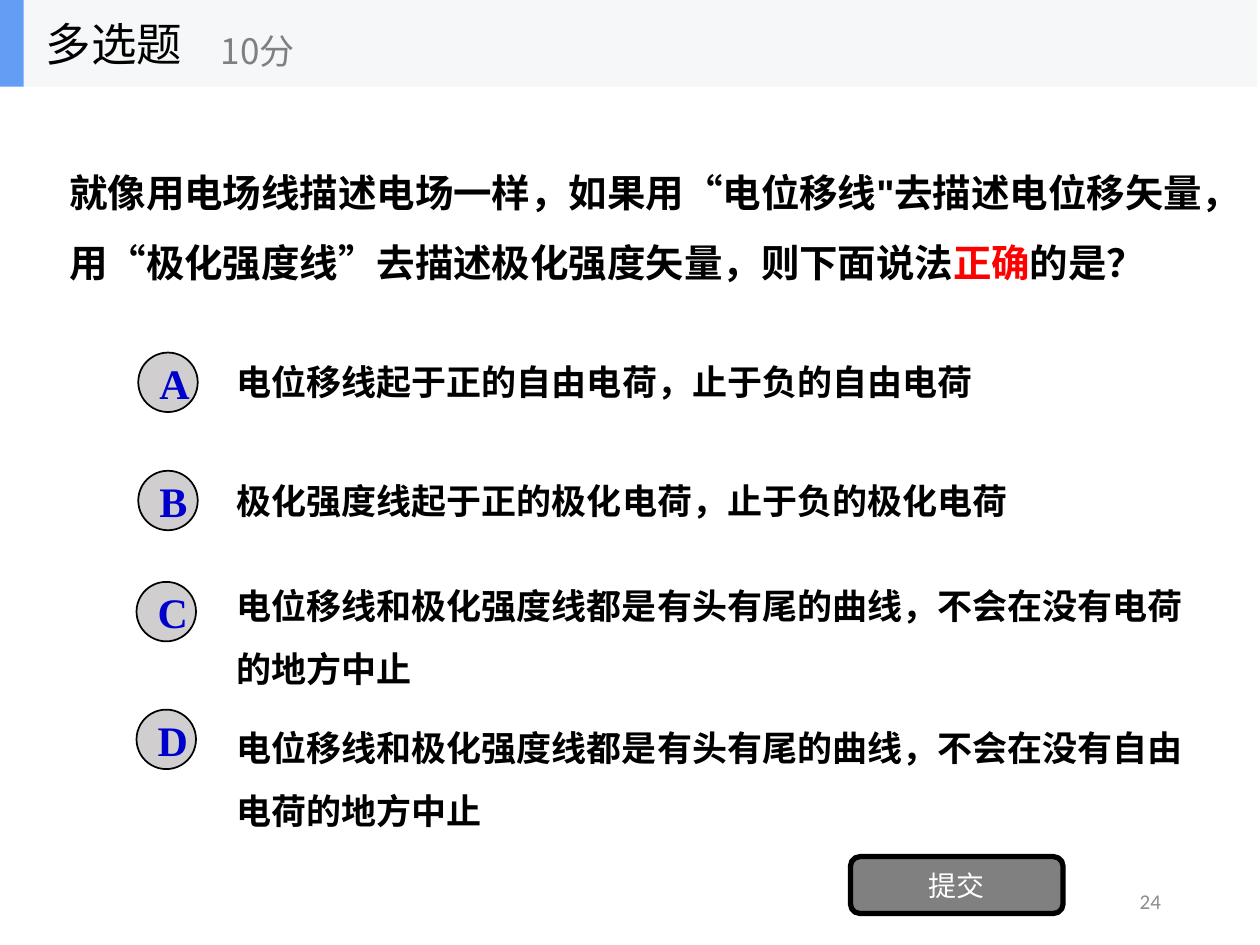
import pptx
import pptx.util
import pptx.dml.color
import pptx.enum.shapes
import pptx.enum.text
import pptx.oxml.ns
from dataclasses import dataclass
from lxml import etree

Pt = pptx.util.Pt
SHAPE = pptx.enum.shapes.MSO_SHAPE
ALIGN = pptx.enum.text.PP_ALIGN
MIDDLE = pptx.enum.text.MSO_ANCHOR.MIDDLE
NO_FIT = pptx.enum.text.MSO_AUTO_SIZE.NONE


@dataclass(frozen=True)
class Theme:
    black: str = "000000"
    white: str = "FFFFFF"
    band: str = "F6F7F8"
    accent: str = "639EF4"
    grey: str = "808080"
    page_grey: str = "8C8C8C"
    highlight: str = "FF0000"
    badge: str = "D0CECE"
    letter: str = "0000CC"
    cjk: str = "Noto Sans CJK SC"
    body: str = "Arial"
    serif: str = "Times New Roman"
    number: str = "Calibri"
    title_size: int = 26
    letter_size: int = 24
    question_size: int = 22
    option_size: int = 20
    button_size: int = 16
    page_size: int = 12


THEME = Theme()


def rgb(color):
    return pptx.dml.color.RGBColor.from_string(color)


def place(part, box):
    for side, length in zip(("left", "top", "width", "height"), box):
        setattr(part, side, Pt(length))


def write(part, runs, font, size, bold=False, align=ALIGN.LEFT, spacing=1.0, wrap=True):
    """Fill one paragraph with (text, colour) runs."""
    frame = part.text_frame
    for name, value in {"word_wrap": wrap, "auto_size": NO_FIT, "vertical_anchor": MIDDLE}.items():
        setattr(frame, name, value)
    paragraph = frame.paragraphs[0]
    paragraph.alignment, paragraph.line_spacing = align, spacing
    for text, color in runs:
        run = paragraph.add_run()
        run.text = text
        for name, value in {"name": font, "size": Pt(size), "bold": bold}.items():
            setattr(run.font, name, value)
        run.font.color.rgb = rgb(color)
        east_asian = etree.SubElement(run.font._element, pptx.oxml.ns.qn("a:ea"))
        east_asian.set("typeface", THEME.cjk)


def add_text(slide, box, runs, font, size, **style):
    part = slide.shapes.add_textbox(*map(Pt, box))
    write(part, runs, font, size, **style)


def add_block(slide, kind, box, fill, line_width=0):
    block = slide.shapes.add_shape(kind, *map(Pt, box))
    block.shadow.inherit = False
    block.fill.solid()
    block.fill.fore_color.rgb = rgb(fill)
    if line_width:
        block.line.color.rgb = rgb(THEME.black)
        block.line.width = Pt(line_width)
    else:
        block.line.fill.background()
    return block


def add_header(slide, box):
    left, top, width, height = box
    add_block(slide, SHAPE.RECTANGLE, box, THEME.band)
    add_block(slide, SHAPE.RECTANGLE, (left, top, 15, height), THEME.accent)
    # The title placeholder is raised above the band
    title = slide.shapes.title
    slide.shapes._spTree.append(title._element)
    place(title, (left + 20.5, top, 150, height))
    write(title, [("多选题", THEME.black)], THEME.cjk, THEME.title_size, wrap=False)
    add_text(slide, (left + 120.5, top + 9, 180, 40), [("10分", THEME.grey)],
             THEME.cjk, THEME.option_size, wrap=False)


def add_question(slide, box):
    runs = [
        ("就像用电场线描述电场一样，如果用“电位移线\"去描述电位移矢量，"
         "用“极化强度线”去描述极化强度矢量，则下面说法", THEME.black),
        ("正确", THEME.highlight),
        ("的是？", THEME.black),
    ]
    add_text(slide, box, runs, THEME.body, THEME.question_size, bold=True, spacing=1.5)


def add_option(slide, box, badge_at, letter, answer, spacing):
    badge = add_block(slide, SHAPE.OVAL, (*badge_at, 34, 34), THEME.badge, 1)
    write(badge, [(letter, THEME.letter)], THEME.serif, THEME.letter_size,
          bold=True, align=ALIGN.CENTER)
    add_text(slide, box, [(answer, THEME.black)], THEME.body, THEME.option_size,
             bold=True, spacing=spacing)


def add_options(slide, box):
    left, top, width, height = box
    # Letter, answer, text offset, badge left and offset, width, line spacing
    options = [
        ("A", "电位移线起于正的自由电荷，止于负的自由电荷", 0, 79, 8.5, 539, 1.0),
        ("B", "极化强度线起于正的极化电荷，止于负的极化电荷", 68, 79, 76, 569, 1.0),
        ("C", "电位移线和极化强度线都是有头有尾的曲线，不会在没有电荷的地方中止",
         139.5, 78, 139.5, width, 1.5),
        ("D", "电位移线和极化强度线都是有头有尾的曲线，不会在没有自由电荷的地方中止",
         221, 78, 212.5, width, 1.5),
    ]
    for letter, answer, offset, badge_left, badge_offset, text_width, spacing in options:
        add_option(slide, (left, top + offset, text_width, height),
                   (badge_left, top + badge_offset), letter, answer, spacing)


def add_footer(slide, button_box, page_box):
    button = add_block(slide, SHAPE.ROUNDED_RECTANGLE, button_box, THEME.grey, 3)
    write(button, [("提交", THEME.white)], THEME.cjk, THEME.button_size, align=ALIGN.CENTER)
    add_text(slide, page_box, [("24", THEME.page_grey)], THEME.number, THEME.page_size,
             align=ALIGN.RIGHT)


def main():
    deck = pptx.Presentation()
    deck.slide_width, deck.slide_height = Pt(720), Pt(540)
    slide = deck.slides.add_slide(deck.slide_layouts.get_by_name("Title Only"))
    add_header(slide, (-1.5, 0, 720, 49.5))
    add_question(slide, (32.5, 39, 669.5, 168.5))
    add_options(slide, (128, 193, 559, 50.5))
    add_footer(slide, (486, 489.5, 121.5, 32.5), (508.5, 500.5, 162, 29))
    deck.save("out.pptx")


if __name__ == "__main__":
    main()
